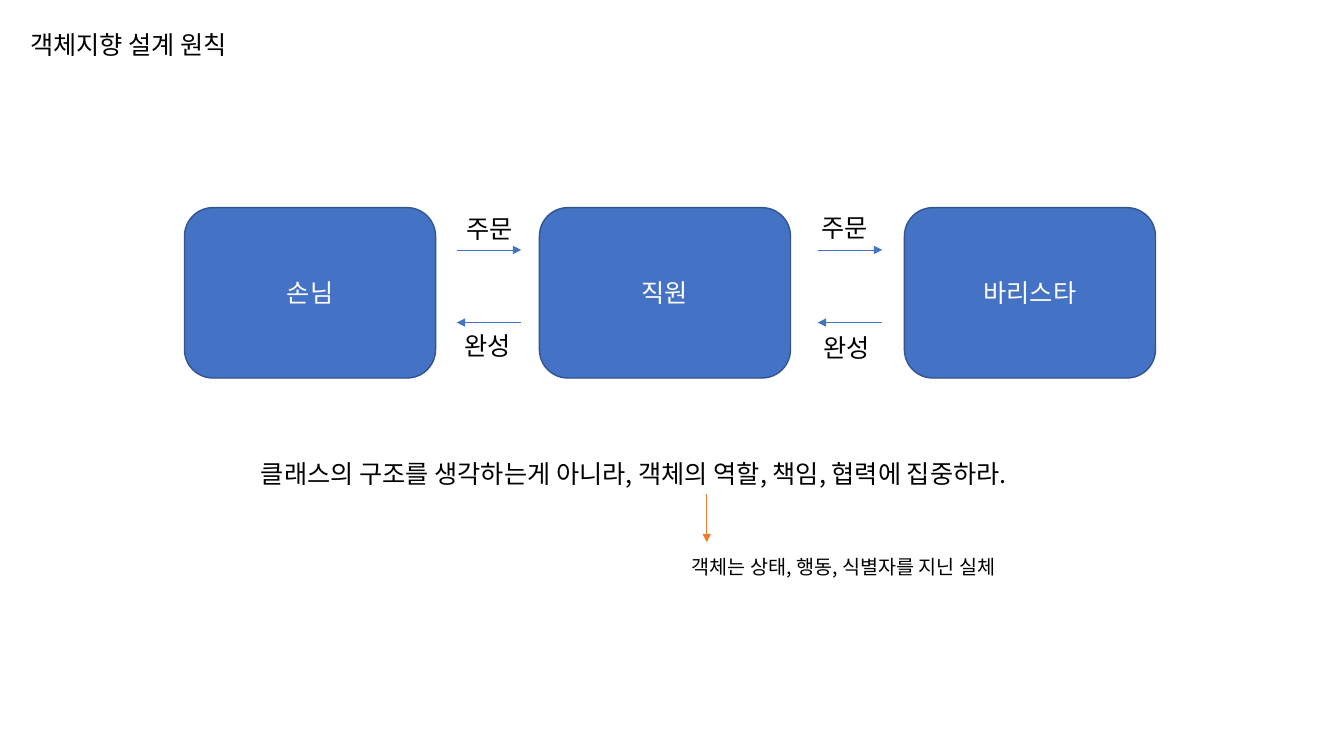
from lxml import etree
from pptx import Presentation
from pptx import util as u
from pptx.dml.color import RGBColor
from pptx.enum import shapes, text
from pptx.oxml.ns import qn

BLUE = RGBColor(0x44, 0x72, 0xC4)
NAVY = RGBColor(0x32, 0x54, 0x91)
ORANGE = RGBColor(0xED, 0x7D, 0x31)
WHITE = RGBColor(0xFF, 0xFF, 0xFF)
BLACK = RGBColor(0, 0, 0)
FONT = "Noto Sans CJK KR"

ROLE_TOP, ROLE_W, ROLE_H = 2.06, 2.49, 1.69
ROLES = [("손님", 1.83), ("직원", 5.35), ("바리스타", 8.97)]
ORDER_Y, DONE_Y = 2.48, 3.2
ARROW_LEFTS, ARROW_W = (4.53, 8.11), 0.64
LABELS = [
    ("주문", 4.53, 2.07), ("주문", 8.05, 2.06),
    ("완성", 4.51, 3.23), ("완성", 8.07, 3.25),
]


def add_run(p, words, size, color):
    """Append a run in the slide font, for Latin and Korean alike."""
    r = p.add_run()
    r.text = words
    r.font.size = u.Pt(size)
    r.font.name = FONT
    r.font.color.rgb = color
    ea = etree.Element(qn("a:ea"), typeface=FONT)
    r.font._element.find(qn("a:latin")).addnext(ea)


def add_role(s, name, left):
    """Draw one rounded role box with its centred name."""
    sp = s.shapes.add_shape(
        shapes.MSO_SHAPE.ROUNDED_RECTANGLE, u.Inches(left),
        u.Inches(ROLE_TOP), u.Inches(ROLE_W), u.Inches(ROLE_H))
    sp.shadow.inherit = False
    sp.fill.solid()
    sp.fill.fore_color.rgb = BLUE
    sp.line.color.rgb = NAVY
    sp.line.width = u.Pt(1)
    tf = sp.text_frame
    tf.vertical_anchor = text.MSO_ANCHOR.MIDDLE
    p = tf.paragraphs[0]
    p.alignment = text.PP_ALIGN.CENTER
    add_run(p, name, 18, WHITE)


def add_arrow(s, x1, y1, x2, y2, color=BLUE):
    """Draw a thin arrow pointing at (x2, y2)."""
    cxn = s.shapes.add_connector(
        shapes.MSO_CONNECTOR.STRAIGHT,
        u.Inches(x1), u.Inches(y1), u.Inches(x2), u.Inches(y2))
    cxn.line.color.rgb = color
    cxn.line.width = u.Pt(0.5)
    etree.SubElement(cxn.line._get_or_add_ln(), qn("a:tailEnd"), type="triangle")
    etree.SubElement(cxn._element.spPr, qn("a:effectLst"))


def add_label(s, words, left, top, width=0.71, height=0.4, size=18):
    """Place a single unwrapped line of black text."""
    box = s.shapes.add_textbox(
        u.Inches(left), u.Inches(top), u.Inches(width), u.Inches(height))
    tf = box.text_frame
    tf.word_wrap = False
    tf.auto_size = text.MSO_AUTO_SIZE.SHAPE_TO_FIT_TEXT
    add_run(tf.paragraphs[0], words, size, BLACK)


def main():
    """Build the slide on object-oriented design."""
    prs = Presentation()
    prs.slide_width, prs.slide_height = u.Inches(13.33), u.Inches(7.5)
    s = prs.slides.add_slide(prs.slide_layouts[6])

    add_label(s, "객체지향 설계 원칙", 0.2, 0.24, 2.4)
    for name, left in ROLES:
        add_role(s, name, left)
    for left in ARROW_LEFTS:
        right = left + ARROW_W
        add_arrow(s, left, ORDER_Y, right, ORDER_Y)
        add_arrow(s, right, DONE_Y, left, DONE_Y)
    for words, left, top in LABELS:
        add_label(s, words, left, top)

    add_label(s, "클래스의 구조를 생각하는게 아니라, 객체의 역할, 책임, 협력에 집중하라.",
              2.49, 4.5, 8.55)
    add_arrow(s, 7.01, 4.9, 7.01, 5.38, ORANGE)
    add_label(s, "객체는 상태, 행동, 식별자를 지닌 실체", 6.76, 5.46, 3.58, 0.34, 14)

    prs.save("out.pptx")


main()
